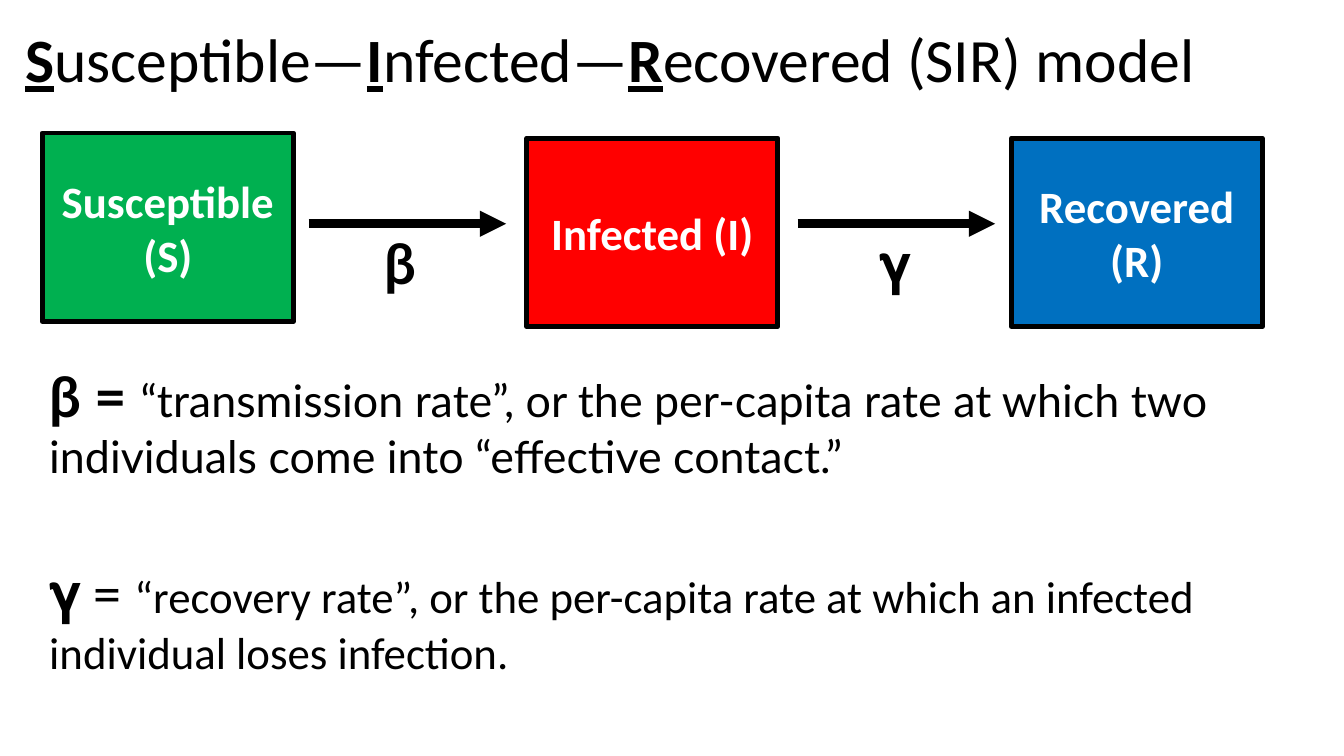
from pptx import Presentation
from pptx.dml.color import RGBColor
from pptx.enum.shapes import MSO_CONNECTOR, MSO_SHAPE
from pptx.enum.text import MSO_ANCHOR, PP_ALIGN
from pptx.oxml.ns import qn
from pptx.util import Inches, Pt
from lxml.etree import SubElement

COLORS = {"ink": "000000", "paper": "FFFFFF", "green": "00B050", "red": "FF0000", "blue": "0070C0"}
BETA, GAMMA = "β", "\U0001D6C4"

TITLE = [("S", True), ("usceptible—", False), ("I", True), ("nfected—", False),
         ("R", True), ("ecovered (SIR) model", False)]
STATES = [("Susceptible (S)", "green", 1.32), ("Infected (I)", "red", 1.37), ("Recovered (R)", "blue", 1.37)]
RATES = [
    (BETA, "Lato", True, 3.72, 3.06,
     "“transmission rate”, or the per-capita rate at which two individuals come into “effective contact.” "),
    (GAMMA, "Calibri", False, 8.62, 7.91,
     "“recovery rate”, or the per-capita rate at which an infected individual loses infection."),
]

STATE_LEFT, STATE_STEP, STATE_WIDTH, STATE_HEIGHT = 0.42, 4.805, 2.49, 1.87
ARROW_TOP, ARROW_LENGTH = 2.22, 1.96
DEFINITION_TOP, DEFINITION_STEP = 3.54, 1.94
TEXT_WIDTH = 12.37


def color(name):
    return RGBColor.from_string(COLORS[name])


def write(shape, spans, align=PP_ALIGN.LEFT, anchor=MSO_ANCHOR.TOP, ink="ink", spacing=None, wrap=True):
    frame = shape.text_frame
    frame.word_wrap = wrap
    frame.vertical_anchor = anchor
    para = frame.paragraphs[0]
    para.alignment = align
    para.line_spacing = spacing
    for text, font, size, bold, underline in spans:
        span = para.add_run()
        span.text = text
        span.font.name = font
        span.font.size = Pt(size)
        span.font.bold = bold
        span.font.underline = underline
        span.font.color.rgb = color(ink)
        for tag in ("a:ea", "a:cs"):
            SubElement(span.font._element, qn(tag), typeface=font)


def text_box(left, top, width, height):
    return page.shapes.add_textbox(*map(Inches, (left, top, width, height)))


def add_state(column, label, fill, top):
    box = page.shapes.add_shape(MSO_SHAPE.RECTANGLE, *map(
        Inches, (STATE_LEFT + column * STATE_STEP, top, STATE_WIDTH, STATE_HEIGHT)))
    box.shadow.inherit = False
    box.fill.solid()
    box.fill.fore_color.rgb = color(fill)
    box.line.color.rgb = color("ink")
    box.line.width = Pt(3.5)
    write(box, [(label, "Calibri", 32, True, False)], PP_ALIGN.CENTER, MSO_ANCHOR.MIDDLE, "paper")


def add_arrow(left):
    arrow = page.shapes.add_connector(MSO_CONNECTOR.STRAIGHT, *map(
        Inches, (left, ARROW_TOP, left + ARROW_LENGTH, ARROW_TOP)))
    arrow.line.color.rgb = color("ink")
    arrow.line.width = Pt(6.25)
    SubElement(arrow.line._get_or_add_ln(), qn("a:tailEnd"), type="triangle")
    SubElement(arrow._element.spPr, qn("a:effectLst"))


deck = Presentation()
deck.slide_width, deck.slide_height = Inches(13.33), Inches(7.5)
page = deck.slides.add_slide(deck.slide_layouts[6])
page.background.fill.solid()
page.background.fill.fore_color.rgb = color("paper")

write(text_box(0.15, 0.11, TEXT_WIDTH, 1.03),
      [(text, "Calibri", 44, initial, initial) for text, initial in TITLE],
      anchor=MSO_ANCHOR.MIDDLE, spacing=0.9)

for column, state in enumerate(STATES):
    add_state(column, *state)

for row, (symbol, font, bold, symbol_left, arrow_left, meaning) in enumerate(RATES):
    add_arrow(arrow_left)
    write(text_box(symbol_left, ARROW_TOP, 0.54, 0.77), [(symbol, font, 40, bold, False)], wrap=False)
    write(text_box(0.39, DEFINITION_TOP + row * DEFINITION_STEP, TEXT_WIDTH, 1.31),
          [(symbol + " = ", font, 40, bold, False), (meaning, font, 32, False, False)])

deck.save("out.pptx")
